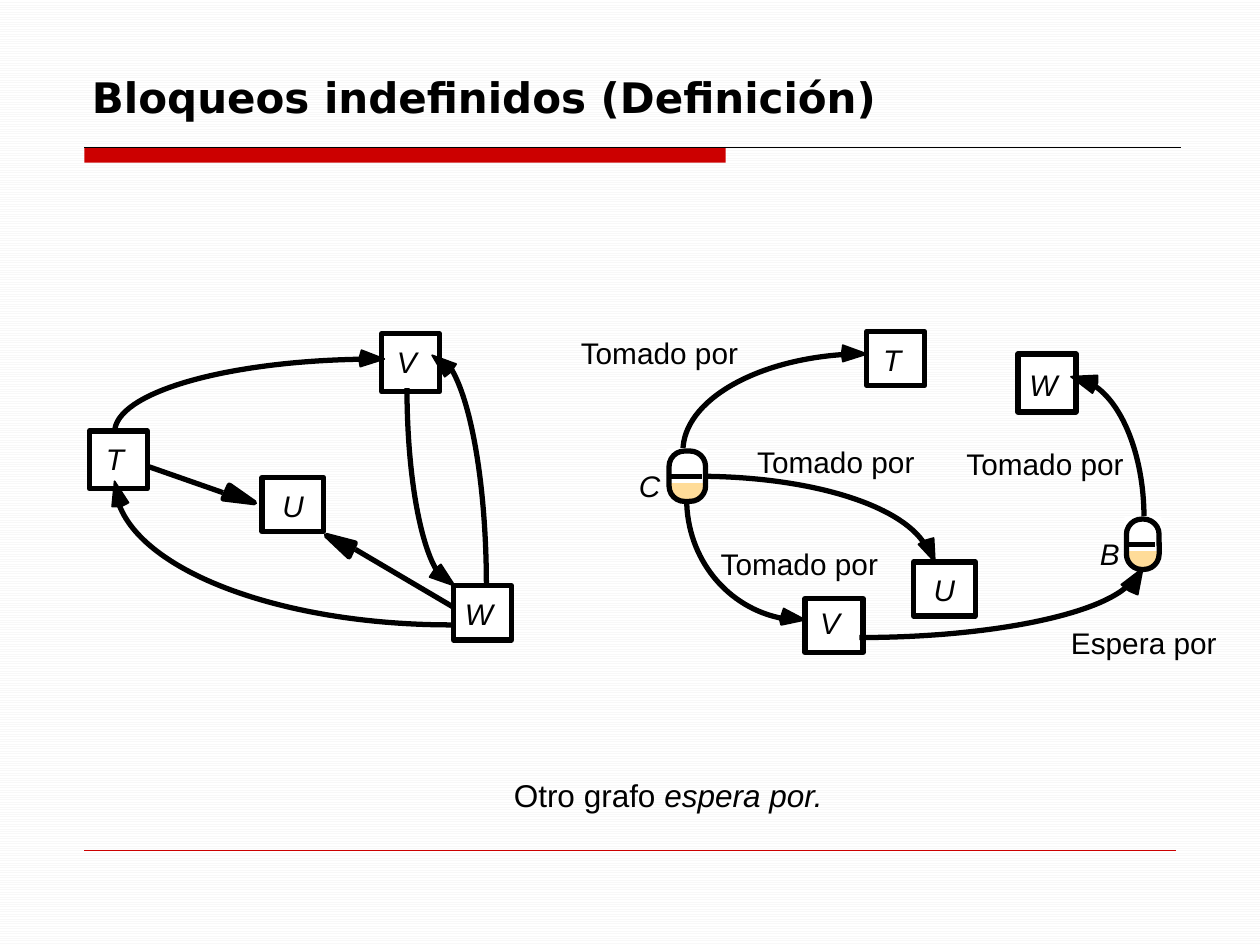
"""Build the wait-for graph slide on a grid of 100 columns by 75 rows."""
from dataclasses import dataclass

from lxml import etree
from pptx import Presentation
from pptx import util as u
from pptx.dml.color import RGBColor
from pptx.enum import dml, shapes, text
from pptx.oxml.ns import qn

COLORS = {"black": "000000", "white": "FFFFFF", "red": "CC0000",
          "amber": "FFDC99", "stripe": "F8F8F8"}
LETTER_COLUMNS = {"T": 1.3, "U": 1.6, "V": 1.2, "W": 0.9}
Point = tuple[float, float]


@dataclass
class Node:
    letter: str
    column: float
    row: float
    width: float = 4.6
    height: float = 4.3
    label_row: float = 0.8


@dataclass
class Arrow:
    route: list[Point]
    head: list[Point]


@dataclass
class Resource:
    column: float
    row: float
    width: float
    roundness: float


@dataclass
class Label:
    words: str
    column: float
    row: float
    width: float = 13
    italic: bool = False


NODES = [
    Node("T", 7.1, 34.2, height=4.6), Node("U", 20.8, 37.9, width=4.9),
    Node("V", 30.3, 26.5, height=4.6), Node("W", 36, 46.5),
    Node("T", 68.8, 26.3), Node("U", 72.5, 44.6, width=4.9),
    Node("V", 63.9, 47.5, label_row=0.5),
    Node("W", 80.8, 28.1, height=4.6, label_row=1),
]
ARROWS = [
    Arrow([(9.1, 34.3), (9.1, 31.2), (17.9, 28.6), (29.3, 28.5)],
          [(28.6, 29.1), (28.5, 28.5), (28.7, 27.8), (30.5, 28.5)]),
    Arrow([(35.8, 49.6), (22.3, 49.6), (10.9, 45.3), (9.3, 39.6)],
          [(10.2, 39.9), (9.6, 40.2), (8.9, 40.2), (9.1, 38.2)]),
    Arrow([(38.6, 46.5), (38.6, 38.6), (37.4, 31.7), (35.7, 29.1)],
          [(36.2, 28.9), (35.8, 29.5), (35.3, 29.9), (34.3, 28.2)]),
    Arrow([(32.3, 30.8), (32.3, 37.4), (33.3, 43.3), (34.8, 45.5)],
          [(34.1, 45.8), (34.5, 45.2), (35, 44.8), (36.1, 46.5)]),
    Arrow([(11.7, 37), (17.7, 39.1)],
          [(17.7, 39.6), (18.2, 38.5), (20.2, 39.9)]),
    Arrow([(36, 48.2), (28.2, 43.6)],
          [(28.2, 43.1), (27.7, 44.2), (25.9, 42.5)]),
    Arrow([(55.3, 37.8), (64.1, 37.8), (71.4, 40), (73.4, 43.2)],
          [(72.9, 43.2), (73.4, 42.9), (74.1, 42.7), (74.2, 44.6)]),
    Arrow([(54.5, 39.6), (54.5, 44.3), (57.7, 48.3), (62.2, 49.1)],
          [(62, 49.6), (61.9, 49.2), (62.2, 48.3), (63.9, 49.2)]),
    Arrow([(54.2, 35.8), (54.2, 31.8), (60.1, 28.4), (67.7, 28.1)],
          [(66.9, 28.7), (66.8, 28.1), (66.9, 27.4), (68.8, 28.1)]),
    Arrow([(90.8, 41.1), (90.8, 36.1), (89, 31.7), (86.5, 30.4)],
          [(87.1, 29.8), (87.1, 30.4), (86.7, 31.2), (85, 29.9)]),
    Arrow([(68.2, 50.6), (78.2, 50.6), (86.9, 48.9), (89.5, 46.5)],
          [(90.3, 47.2), (89.6, 46.9), (89, 46.4), (90.7, 45.1)]),
]
RESOURCES = [Resource(53.1, 35.8, 2.9, 0.424), Resource(89.4, 41.2, 2.6, 0.47)]
LABELS = [
    Label("Tomado por", 46.1, 26.6), Label("Tomado por", 60.1, 35.2),
    Label("Tomado por", 57.2, 43.3), Label("Tomado por", 76.7, 35.4),
    Label("Espera por", 85, 49.6),
    Label("C", 50.7, 37.1, 2.8, True), Label("B", 87.3, 42.5, 2.8, True),
]

presentation = Presentation()
presentation.slide_width, presentation.slide_height = u.Inches(10), u.Inches(7.5)
CELL = presentation.slide_width / 100
slide = presentation.slides.add_slide(presentation.slide_layouts[5])


def cells(*lengths: float) -> list[int]:
    return [round(length * CELL) for length in lengths]


def color(name: str) -> RGBColor:
    return RGBColor.from_string(COLORS[name])


def paint(shape, fill: str | None, line: str | None, weight: float = 3) -> None:
    shape.shadow.inherit = False
    if fill:
        shape.fill.solid()
        shape.fill.fore_color.rgb = color(fill)
    else:
        shape.fill.background()
    if line:
        shape.line.color.rgb = color(line)
        shape.line.width = u.Pt(weight)
    else:
        shape.line.fill.background()


def add_block(kind, box: tuple, fill: str | None, line: str | None):
    shape = slide.shapes.add_shape(kind, *cells(*box))
    paint(shape, fill, line)
    return shape


def add_line(start: Point, end: Point, line: str, weight: float = 3) -> None:
    connector = slide.shapes.add_connector(
        shapes.MSO_CONNECTOR.STRAIGHT, *cells(*start, *end))
    connector.line.color.rgb = color(line)
    connector.line.width = u.Pt(weight)
    etree.SubElement(connector._element.spPr, qn("a:effectLst"))


def add_outline(points: list[Point], close: bool):
    builder = slide.shapes.build_freeform(*cells(*points[0]))
    builder.add_line_segments([cells(*point) for point in points[1:]], close=close)
    return builder.convert_to_shape()


def add_curve(points: list[Point]) -> None:
    """Turn three line segments into one cubic Bézier segment."""
    shape = add_outline(points, close=False)
    segments = list(shape._element.iter(qn("a:lnTo")))
    bezier = etree.SubElement(segments[0].getparent(), qn("a:cubicBezTo"))
    for segment in segments:
        bezier.append(segment[0])
        segment.getparent().remove(segment)
    paint(shape, None, "black")


def add_arrow(arrow: Arrow) -> None:
    straight = len(arrow.route) == 2
    if straight:
        add_line(*arrow.route, "black")
    else:
        add_curve(arrow.route)
    paint(add_outline(arrow.head, close=True), "black", "black", 3 if straight else 1)


def format_run(run, size: float, font: str = "Arial", italic: bool = False) -> None:
    run.font.size, run.font.name, run.font.italic = u.Pt(size), font, italic
    run.font.color.rgb = color("black")


def add_label(label: Label) -> None:
    frame = slide.shapes.add_textbox(
        *cells(label.column, label.row, label.width, 2.8)).text_frame
    frame.margin_left = frame.margin_right = frame.margin_top = frame.margin_bottom = 0
    frame.word_wrap = True
    frame.text = label.words
    format_run(frame.paragraphs[0].runs[0], 17, italic=label.italic)


def add_node(node: Node) -> None:
    add_block(shapes.MSO_SHAPE.RECTANGLE,
              (node.column, node.row, node.width, node.height), "white", "black")
    add_label(Label(node.letter, node.column + LETTER_COLUMNS[node.letter],
                    node.row + node.label_row, 2.8, True))


def add_resource(resource: Resource) -> None:
    left, top, width = resource.column, resource.row, resource.width
    capsule = shapes.MSO_SHAPE.ROUNDED_RECTANGLE
    body = add_block(capsule, (left, top, width, 4), "amber", None)
    add_block(shapes.MSO_SHAPE.RECTANGLE, (left, top, width, 2.3), "white", "white")
    rim = add_block(capsule, (left, top, width, 4), None, "black")
    body.adjustments[0] = rim.adjustments[0] = resource.roundness
    add_line((left, top + 2), (left + width - 0.3, top + 2), "black")


def add_frame() -> None:
    background = slide.background.fill
    background.patterned()
    background.pattern = dml.MSO_PATTERN.LIGHT_HORIZONTAL
    background.fore_color.rgb, background.back_color.rgb = color("stripe"), color("white")
    add_block(shapes.MSO_SHAPE.RECTANGLE, (6.7, 11.7, 50.9, 1.2), "red", None)
    add_line((6.7, 11.7), (93.7, 11.7), "black", 0.75)
    add_line((6.7, 67.5), (93.3, 67.5), "red", 0.25)
    title = slide.shapes.title
    title.left, title.top, title.width, title.height = cells(6.3, 1.6, 87.5, 8.6)
    title.text_frame.text = "Bloqueos indefinidos (Definición)"
    title.text_frame.vertical_anchor = text.MSO_ANCHOR.BOTTOM
    paragraph = title.text_frame.paragraphs[0]
    paragraph.alignment = text.PP_ALIGN.LEFT
    format_run(paragraph.runs[0], 24, "DejaVu Sans")
    paragraph.runs[0].font.bold = True


def add_caption() -> None:
    frame = slide.shapes.add_textbox(*cells(39.8, 61.1, 28, 4)).text_frame
    frame.word_wrap = True
    for words, italic in (("Otro grafo ", False), ("espera por.", True)):
        run = frame.paragraphs[0].add_run()
        run.text = words
        format_run(run, 18, italic=italic)


add_frame()
for draw, items in ((add_node, NODES), (add_arrow, ARROWS),
                    (add_resource, RESOURCES), (add_label, LABELS)):
    for item in items:
        draw(item)
add_caption()
presentation.save("out.pptx")
